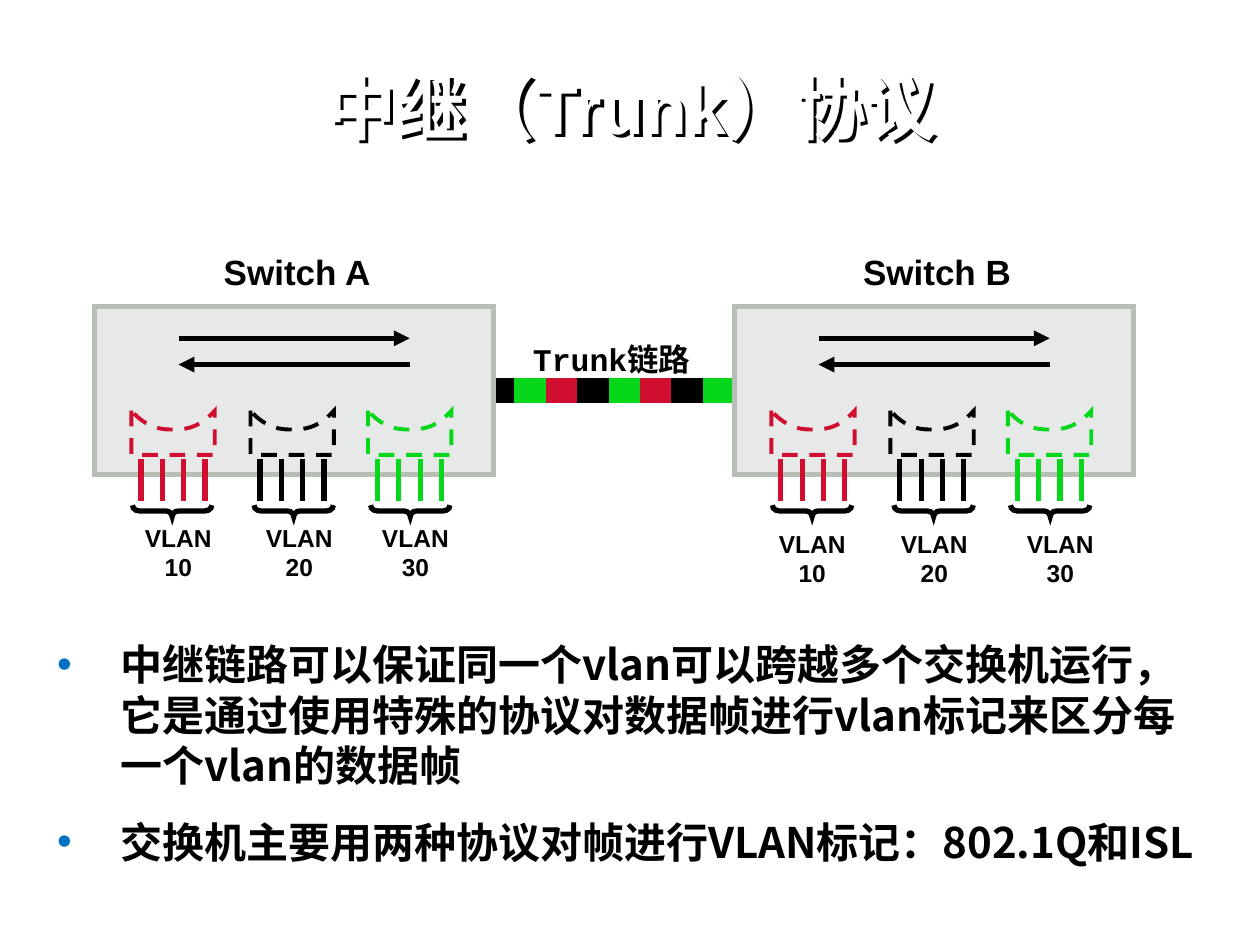
"""Build the slide on trunk links between two switches."""
import pptx
import pptx.util
import pptx.dml.color
import pptx.enum.dml
import pptx.enum.shapes
import pptx.enum.text
import pptx.oxml
import pptx.oxml.ns

Cm, Pt = pptx.util.Cm, pptx.util.Pt
RGB = pptx.dml.color.RGBColor
ANCHOR = pptx.enum.text.MSO_ANCHOR
ALIGN = pptx.enum.text.PP_ALIGN
KIND = pptx.enum.shapes.MSO_SHAPE
qn = pptx.oxml.ns.qn

BLACK, WHITE = RGB(0, 0, 0), RGB(255, 255, 255)
RED, GREEN = RGB(0xCF, 0x0E, 0x30), RGB(0x07, 0xD7, 0x1B)
PALE, GREY = RGB(0xE7, 0xE9, 0xE8), RGB(0xB7, 0xBE, 0xB6)
CJK = "Noto Sans CJK SC"

TITLE = "中继（Trunk）协议"
POINTS = [
    "中继链路可以保证同一个vlan可以跨越多个交换机运行，它是通过使用特殊的协议对数据帧进行vlan标记来区分每一个vlan的数据帧",
    "交换机主要用两种协议对帧进行VLAN标记：802.1Q和ISL",
]
LINK = [("Trunk", "Courier New"), ("链路", CJK)]
SWITCHES = [
    ("Switch A", 1.91, 10.41, (0.76, 3.2, 5.54)),
    ("Switch B", 14.81, 10.53, (0.64, 3.1, 5.64)),
]
VLANS = [("10", RED, 0.74, 1.56), ("20", BLACK, 3.14, 4.01), ("30", GREEN, 5.51, 6.36)]
STRIPES = [BLACK, GREEN, RED] * 3
ARROWS = [(6.82, "tailEnd"), (7.35, "headEnd")]

deck = pptx.Presentation()
deck.slide_width, deck.slide_height = Cm(25.4), Cm(19.05)
slide = deck.slides.add_slide(deck.slide_layouts[1])
shapes = slide.shapes


def node(tag, **attrs):
    item = pptx.oxml.parse_xml(f"<{tag} {pptx.oxml.ns.nsdecls('a')}/>")
    for key, val in attrs.items():
        item.set(key, val)
    return item


def place(shape, x, y, w, h):
    shape.left, shape.top, shape.width, shape.height = map(Cm, (x, y, w, h))


def write(para, text, size, font="Arial", color=BLACK):
    run = para.add_run()
    run.text = text
    face = run.font
    face.size, face.bold, face.name = Pt(size), True, font
    face.color.rgb = color
    run._r.rPr.find(qn("a:latin")).addnext(node("a:ea", typeface=CJK))


def label(x, y, w, h, rows, size):
    box = shapes.add_textbox(Cm(x), Cm(y), Cm(w), Cm(h))
    frame = box.text_frame
    frame.word_wrap, frame.vertical_anchor = False, ANCHOR.MIDDLE
    for i, row in enumerate(rows):
        para = frame.add_paragraph() if i else frame.paragraphs[0]
        para.alignment = ALIGN.CENTER
        for text, font in row:
            write(para, text, size, font)


def line(x1, y1, x2, y2, color, width, head=None):
    rule = shapes.add_connector(
        pptx.enum.shapes.MSO_CONNECTOR.STRAIGHT, Cm(x1), Cm(y1), Cm(x2), Cm(y2))
    rule.line.color.rgb, rule.line.width = color, Pt(width)
    if head:
        rule.line._get_or_add_ln().append(node("a:" + head, type="triangle"))
    rule._element.spPr.append(node("a:effectLst"))


def style(shape, color, width, fill=None):
    shape.shadow.inherit = False
    shape.line.color.rgb, shape.line.width = color, Pt(width)
    shape.line._get_or_add_ln().append(node("a:miter", lim="800000"))
    if fill is None:
        shape.fill.background()
    else:
        shape.fill.solid()
        shape.fill.fore_color.rgb = fill


def funnel(x, y, color, w=1.68, h=0.89, sag=0.38, steps=24):
    marks = [1 - 2 * i / steps for i in range(steps + 1)]
    curve = [(x + w * (1 + u) / 2, y + sag * (1 - abs(u) ** 2.5)) for u in marks]
    path = [(x, y + h), (x + w, y + h)] + curve
    pen = shapes.build_freeform(Cm(x), Cm(y))
    pen.add_line_segments([(Cm(a), Cm(b)) for a, b in path], close=True)
    shape = pen.convert_to_shape()
    style(shape, color, 2.25)
    shape.line.dash_style = pptx.enum.dml.MSO_LINE.DASH


def brace(mid, y, w=0.23, h=1.6):
    shape = shapes.add_shape(
        KIND.RIGHT_BRACE, Cm(mid - w / 2), Cm(y - h / 2), Cm(w), Cm(h))
    shape.rotation = 90
    shape.adjustments[0] = 0.58
    style(shape, BLACK, 3)


def switch(name, x, low, tags):
    label(x + 2.24, 4.91, 3.68, 1.12, [[(name, "Arial")]], 20)
    box = shapes.add_shape(KIND.RECTANGLE, Cm(x), Cm(6.18), Cm(8.04), Cm(3.38))
    style(box, GREY, 3, PALE)
    for y, head in ARROWS:
        line(x + 1.69, y, x + 6.35, y, BLACK, 3, head)
    for (num, color, left, mid), tag in zip(VLANS, tags):
        funnel(x + left, 8.28, color)
        for i in range(4):
            pin = x + left + 0.19 + 0.43 * i
            line(pin, 9.26, pin, 10.1, color, 3)
        brace(x + mid, 10.3)
        label(x + tag, low, 1.85, 1.45, [[("VLAN", "Arial")], [(num, "Arial")]], 14)


head = shapes.title
place(head, 2.13, 0.66, 21.18, 3.18)
head.text_frame.vertical_anchor = ANCHOR.MIDDLE
para = head.text_frame.paragraphs[0]
para.alignment, para.line_spacing = ALIGN.CENTER, 0.9
write(para, TITLE, 40, color=WHITE)
head.fill.background()
glow = node("a:effectLst")
shade = node("a:outerShdw", dist="35921", dir="2700000", algn="ctr", rotWithShape="0")
shade.append(node("a:srgbClr", val="000000"))
glow.append(shade)
head._element.spPr.append(glow)

step = 5.71 / len(STRIPES)
for i, color in enumerate(STRIPES):
    line(9.73 + step * i, 7.87, 9.73 + step * (i + 1), 7.87, color, 14)
for item in SWITCHES:
    switch(*item)
label(10.41, 5.97, 3.84, 2.54, [LINK], 18)

body = slide.placeholders[1]
place(body, 0.9, 12.75, 23.65, 5.87)
frame = body.text_frame
frame.word_wrap, frame.vertical_anchor = True, ANCHOR.TOP
for i, text in enumerate(POINTS):
    para = frame.add_paragraph() if i else frame.paragraphs[0]
    para.space_before = Pt(15)
    props = para._p.get_or_add_pPr()
    props.set("marL", str(Cm(1.27)))
    props.set("indent", str(-Cm(1.27)))
    tint = node("a:buClr")
    tint.append(node("a:srgbClr", val="0070C0"))
    props.append(tint)
    props.append(node("a:buChar", char="•"))
    write(para, text, 24, CJK)

deck.save("out.pptx")
